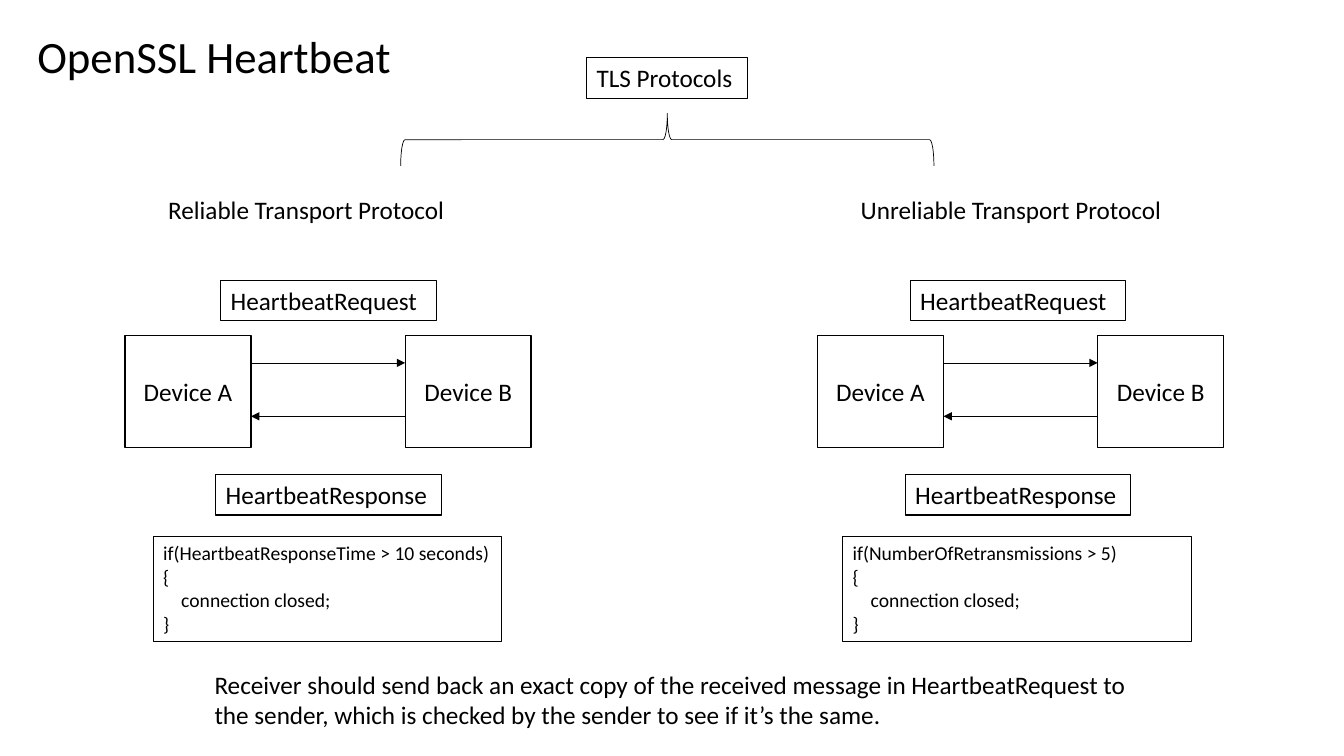
from lxml import etree
from pptx import Presentation
from pptx.dml.color import RGBColor
from pptx.enum.shapes import MSO_CONNECTOR, MSO_SHAPE
from pptx.enum.text import MSO_ANCHOR, PP_ALIGN
from pptx.oxml.ns import qn
from pptx.util import Inches, Pt

WIDTH, HEIGHT = Inches(13.333), Inches(7.5)
COLUMNS, ROWS = 133.33, 75
BLACK, WHITE = "000000", "FFFFFF"


def paint(color_format, hex_color):
    """Set a colour from a hex string."""
    color_format.rgb = RGBColor.from_string(hex_color)


def grid(*cells):
    """Turn alternating column and row counts into slide lengths."""
    units = (WIDTH / COLUMNS, HEIGHT / ROWS)
    return [round(n * units[i % 2]) for i, n in enumerate(cells)]


class Sketch:
    """Holds the diagram style and the slide being drawn."""

    font, body, code = "Calibri", 18, 14
    indent = Inches(0.18)

    def __init__(self, slide):
        """Start drawing on the given slide."""
        self.slide = slide

    def put_text(self, shape, text, size, align=PP_ALIGN.LEFT, anchor=MSO_ANCHOR.TOP):
        """Fill a shape with paragraphs; a leading tab indents a line."""
        frame = shape.text_frame
        frame.word_wrap = True
        frame.vertical_anchor = anchor
        for i, line in enumerate(text.split("\n")):
            paragraph = frame.add_paragraph() if i else frame.paragraphs[0]
            paragraph.alignment = align
            if line.startswith("\t"):
                properties = paragraph._p.get_or_add_pPr()
                properties.set("marL", str(self.indent))
                properties.set("indent", "0")
            run = paragraph.add_run()
            run.text = line.strip()
            run.font.name, run.font.size = self.font, Pt(size)
            paint(run.font.color, BLACK)

    def title(self, text, *cells):
        """Place and format the title placeholder."""
        title = self.slide.shapes.title
        title.left, title.top, title.width, title.height = grid(*cells)
        self.put_text(title, text, 32)

    def note(self, text, *cells):
        """Add a plain text box."""
        self.put_text(self.slide.shapes.add_textbox(*grid(*cells)), text, self.body)

    def shape(self, kind, cells, line, weight):
        """Add a white preset shape with a thin outline."""
        shape = self.slide.shapes.add_shape(kind, *grid(*cells))
        shape.shadow.inherit = False
        shape.fill.solid()
        paint(shape.fill.fore_color, WHITE)
        paint(shape.line.color, line)
        shape.line.width = Pt(weight)
        return shape

    def box(self, text, *cells, line=BLACK, size=body):
        """Add a rectangle with text from its top left."""
        shape = self.shape(MSO_SHAPE.RECTANGLE, cells, line, 0.75)
        self.put_text(shape, text, size)

    def device(self, text, *cells):
        """Add a device block with centred text."""
        shape = self.shape(MSO_SHAPE.RECTANGLE, cells, BLACK, 1)
        self.put_text(shape, text, self.body, PP_ALIGN.CENTER, MSO_ANCHOR.MIDDLE)

    def brace(self, *cells):
        """Add a brace that opens downwards."""
        self.shape(MSO_SHAPE.LEFT_BRACE, cells, BLACK, 0.5).rotation = 90

    def arrow(self, start, end, row):
        """Add a horizontal arrow between two columns."""
        arrow = self.slide.shapes.add_connector(
            MSO_CONNECTOR.STRAIGHT, *grid(start, row, end, row))
        paint(arrow.line.color, BLACK)
        arrow.line.width = Pt(0.5)
        outline = arrow._element.spPr.find(qn("a:ln"))
        etree.SubElement(outline, qn("a:tailEnd"), type="triangle")
        etree.SubElement(arrow._element.spPr, qn("a:effectLst"))

    def exchange(self, heading, condition, device_shift, box_shift):
        """Draw one heartbeat exchange, moved right by the given columns."""
        left, gap, side = 12.4 + device_shift, 27.8, 12.5
        for i, name in enumerate(("Device A", "Device B")):
            self.device(name, left + i * gap, 33.3, side, 11.1)
        self.arrow(left + side, left + gap, 36)
        self.arrow(left + gap, left + side, 41.3)
        self.box(heading, 15.7 + device_shift, 18.8, 32.8, 4, line=WHITE)
        self.box("HeartbeatRequest", 21.9 + box_shift, 27.8, 21.4, 4)
        self.box("HeartbeatResponse", 21.4 + box_shift, 47.1, 22.4, 4)
        self.box(f"if({condition})\n{{\n\tconnection closed;\n}}",
                 15.2 + box_shift, 53.2, 34.6, 10.4, size=self.code)


deck = Presentation()
deck.slide_width, deck.slide_height = WIDTH, HEIGHT
sketch = Sketch(deck.slides.add_slide(deck.slide_layouts[5]))
sketch.title("OpenSSL Heartbeat", 2.7, 2.3, 50, 6.4)
sketch.box("TLS Protocols", 58.2, 5.7, 16, 4.1)
sketch.brace(63.6, -12.6, 5.2, 52.9)
sketch.exchange("Reliable Transport Protocol",
                "HeartbeatResponseTime > 10 seconds", 0, 0)
sketch.exchange("Unreliable Transport Protocol",
                "NumberOfRetransmissions > 5", 68.7, 68.4)
sketch.note("Receiver should send back an exact copy of the received message in "
            "HeartbeatRequest to the sender, which is checked by the sender to see "
            "if it’s the same.", 20.3, 65.9, 93.2, 9.1)
deck.save("out.pptx")
